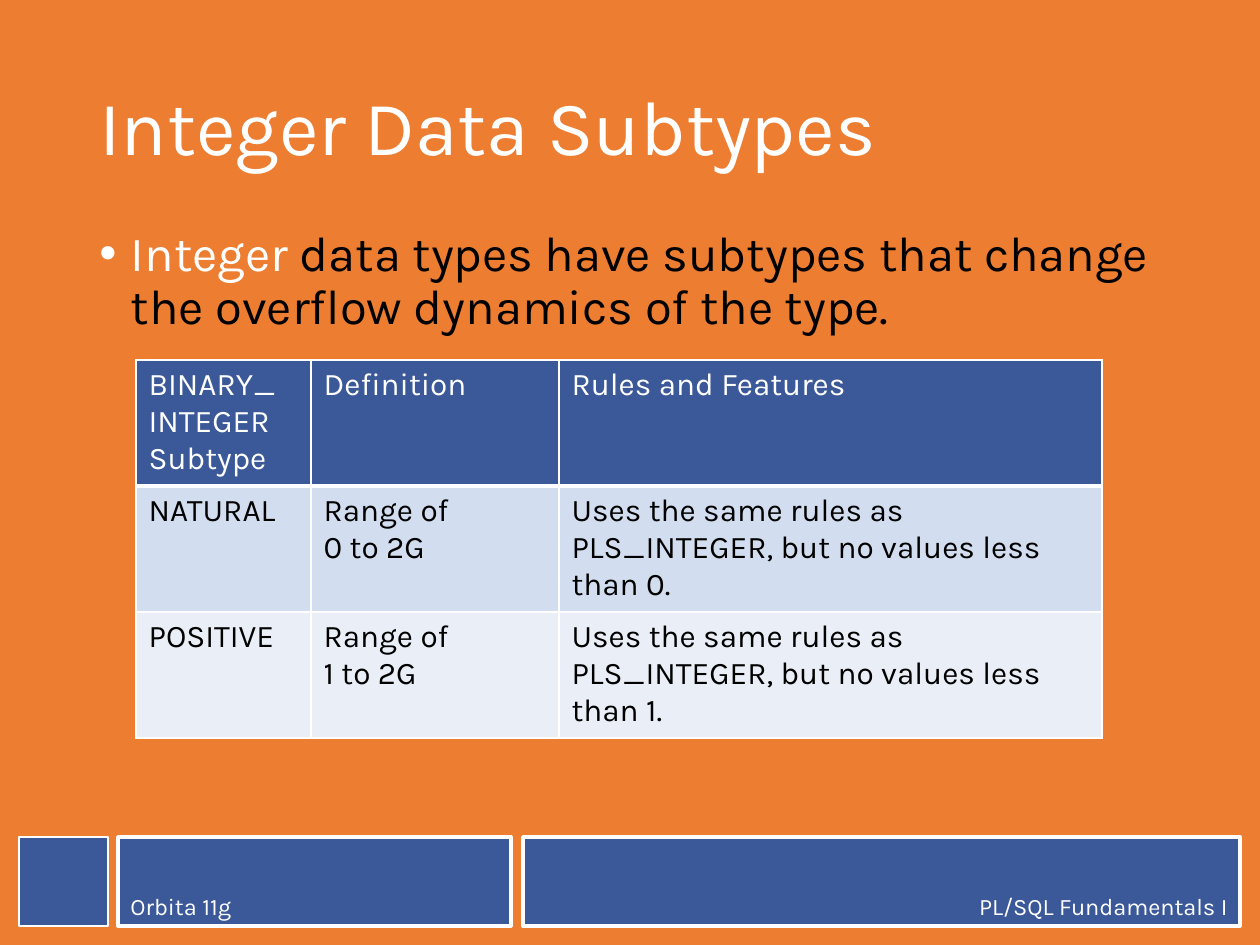
import pptx
import pptx.util
import pptx.dml.color
import pptx.enum.shapes
import pptx.enum.text
import pptx.oxml
import pptx.oxml.ns

FONT = "Karla"
WHITE, BLACK, BLUE, ORANGE = "FFFFFF", "000000", "3B5998", "ED7D31"
ALIGN = pptx.enum.text.PP_ALIGN
ANCHOR = pptx.enum.text.MSO_ANCHOR

BARS = [
    (118, 837, 393, 89, 2, "Orbita 11g", ALIGN.LEFT),
    (523, 837, 717, 89, 2, "PL/SQL Fundamentals I", ALIGN.RIGHT),
    (19, 837, 89, 89, 1.5, "", ALIGN.LEFT),
]
TITLE = (87, 50, 1086, 161)
BODY = (87, 223, 1086, 609)
HEAD = [("Integer Data Subtypes", WHITE)]
POINT = [
    ("Integer", WHITE),
    (" data types have subtypes that change the overflow dynamics of the type.", BLACK),
]
GRID = (136, 360, 966, 302)
COLS = [175, 248, 543]
ROW = 52
ROWS = [
    (BLUE, WHITE, ["BINARY_ INTEGER Subtype", "Definition", "Rules and Features"]),
    ("D2DEEF", BLACK, ["NATURAL", "Range of\n0 to 2G",
        "Uses the same rules as PLS_INTEGER, but no values less than 0."]),
    ("EAEFF7", BLACK, ["POSITIVE", "Range of\n1 to 2G",
        "Uses the same rules as PLS_INTEGER, but no values less than 1."]),
]


def px(n):
    return pptx.util.Emu(round(n * 914400 / 126))


def tint(code):
    return pptx.dml.color.RGBColor.from_string(code)


def paint(fill, code):
    fill.solid()
    fill.fore_color.rgb = tint(code)


def write(para, runs, size):
    for text, code in runs:
        run = para.add_run()
        run.text = text
        run.font.size = pptx.util.Pt(size)
        run.font.name = FONT
        run.font.color.rgb = tint(code)


def add_bar(slide, x, y, w, h, line, text, align):
    kind = pptx.enum.shapes.MSO_SHAPE.RECTANGLE
    bar = slide.shapes.add_shape(kind, px(x), px(y), px(w), px(h))
    bar.shadow.inherit = False
    paint(bar.fill, BLUE)
    paint(bar.line.fill, WHITE)
    bar.line.width = pptx.util.Pt(line)
    if text:
        frame = bar.text_frame
        frame.vertical_anchor = ANCHOR.BOTTOM
        para = frame.paragraphs[0]
        para.alignment = align
        write(para, [(text, WHITE)], 13.5)


def add_text(slide, box, runs, size, anchor):
    frame = slide.shapes.add_textbox(*map(px, box)).text_frame
    frame.word_wrap = True
    frame.vertical_anchor = anchor
    para = frame.paragraphs[0]
    para.line_spacing = 0.9
    write(para, runs, size)
    return para


def add_bullet(para):
    props = para._p.get_or_add_pPr()
    props.set("marL", "228600")
    props.set("indent", "-228600")
    space = pptx.oxml.ns.nsdecls("a")
    for tag in ('buFont %s typeface="Arial"', 'buChar %s char="•"'):
        props.append(pptx.oxml.parse_xml(f"<a:{tag % space}/>"))


def add_edges(cell, base):
    props = cell._tc.get_or_add_tcPr()
    space = pptx.oxml.ns.nsdecls("a")
    for spot, (side, width) in enumerate(zip("LRTB", (1, 1, 1, base))):
        edge = pptx.oxml.parse_xml(
            f'<a:ln{side} {space} w="{width * 12700}"><a:solidFill>'
            f'<a:srgbClr val="{WHITE}"/></a:solidFill></a:ln{side}>')
        props.insert(spot, edge)


def add_grid(slide):
    frame = slide.shapes.add_table(len(ROWS), len(COLS), *map(px, GRID))
    table = frame.table
    table.horz_banding = False
    for col, wide in zip(table.columns, COLS):
        col.width = px(wide)
    for r, (fill, ink, texts) in enumerate(ROWS):
        table.rows[r].height = px(ROW)
        for c, text in enumerate(texts):
            cell = table.cell(r, c)
            paint(cell.fill, fill)
            add_edges(cell, 3 if r == 0 else 1)
            for i, line in enumerate(text.split("\n")):
                body = cell.text_frame
                para = body.add_paragraph() if i else body.paragraphs[0]
                write(para, [(line, ink)], 18)
                for run in para.runs:
                    run.font.bold = False
    frame.height = px(GRID[3])


def main():
    deck = pptx.Presentation()
    deck.slide_width, deck.slide_height = px(1260), px(945)
    slide = deck.slides.add_slide(deck.slide_layouts[6])
    paint(slide.background.fill, ORANGE)
    for bar in BARS:
        add_bar(slide, *bar)
    add_text(slide, TITLE, HEAD, 44, ANCHOR.MIDDLE)
    add_bullet(add_text(slide, BODY, POINT, 28, ANCHOR.TOP))
    add_grid(slide)
    deck.save("out.pptx")


if __name__ == "__main__":
    main()
